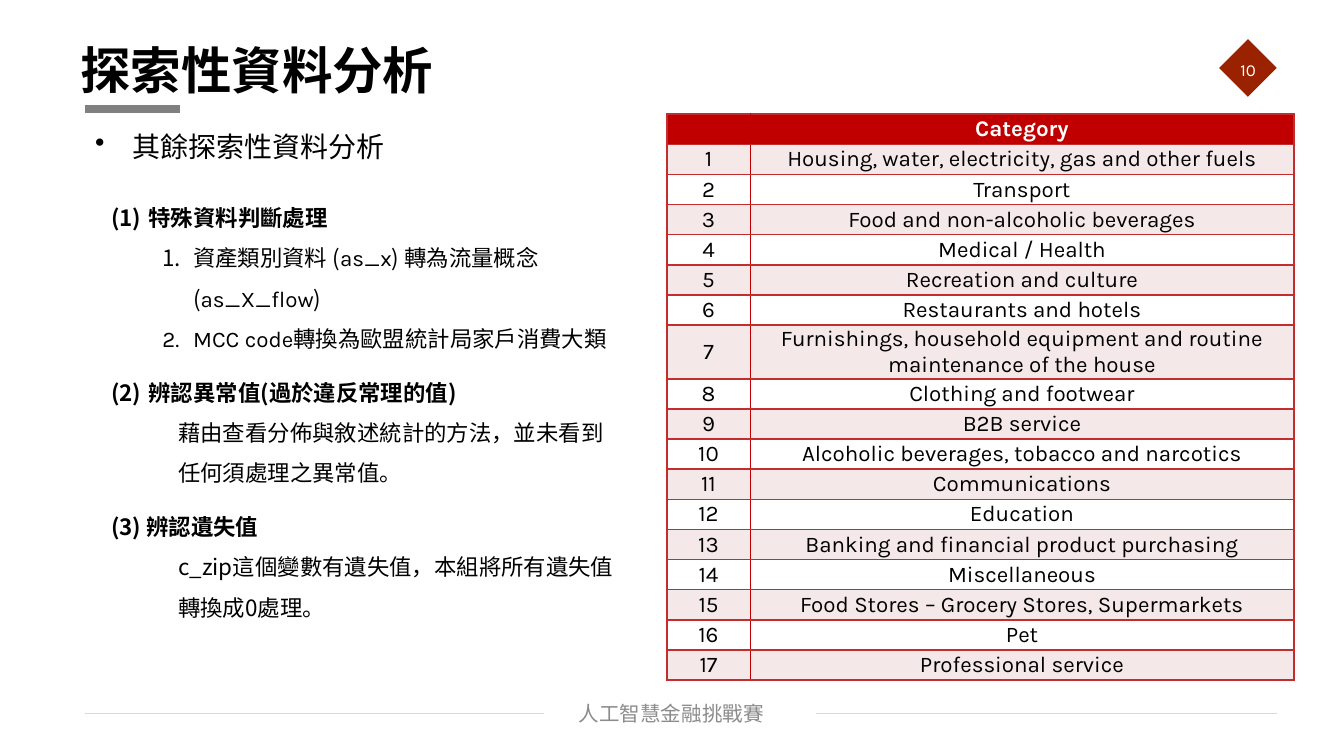
from dataclasses import dataclass
from typing import Optional

from lxml import etree
from pptx import Presentation
from pptx.dml.color import RGBColor
from pptx.enum.shapes import MSO_CONNECTOR, MSO_SHAPE
from pptx.enum.text import MSO_ANCHOR, MSO_AUTO_SIZE, PP_ALIGN
from pptx.oxml.ns import qn
from pptx.util import Cm, Pt

LEFT, CENTER = PP_ALIGN.LEFT, PP_ALIGN.CENTER
TOP, MIDDLE = MSO_ANCHOR.TOP, MSO_ANCHOR.MIDDLE
FIXED, GROW = MSO_AUTO_SIZE.NONE, MSO_AUTO_SIZE.SHAPE_TO_FIT_TEXT
STRAIGHT, DIAMOND = MSO_CONNECTOR.STRAIGHT, MSO_SHAPE.DIAMOND


@dataclass(frozen=True)
class Theme:
    latin: str = "Karla"
    chinese: str = "Noto Sans CJK SC"
    black: str = "000000"
    white: str = "FFFFFF"
    bar: str = "808080"
    badge: str = "9B2201"
    rule: str = "D9D9D9"
    footer: str = "8C8C8C"
    header: str = "C00000"
    border: str = "C32D2E"
    band: str = "F5E8E8"
    title_size: float = 27
    topic_size: float = 15
    body_size: float = 12
    footer_size: float = 11
    number_size: float = 9


THEME = Theme()


@dataclass(frozen=True)
class Area:
    left: float
    top: float
    width: float
    height: float


@dataclass(frozen=True)
class Para:
    spans: tuple[str, ...]
    size: float = THEME.body_size
    font: str = THEME.chinese
    color: str = THEME.black
    bold: bool = False
    align: PP_ALIGN = LEFT
    spacing: float = 1
    level: int = 0
    margin: float = 0
    hanging: float = 0
    bullet: str = ""
    numbering: str = ""
    latin_spans: tuple[int, ...] = ()


@dataclass(frozen=True)
class Rule:
    start: float
    end: float
    y: float
    color: str
    width: float


def heading(text: str) -> Para:
    return Para((text,), bold=True, spacing=2, margin=0.71, hanging=0.71,
                numbering="arabicParenBoth")


def step(*spans: str, latin_spans: tuple[int, ...]) -> Para:
    return Para(spans, spacing=1.5, level=1, margin=1.55, hanging=0.58,
                numbering="arabicPeriod", latin_spans=latin_spans)


def detail(text: str) -> Para:
    return Para((text,), spacing=1.5, margin=1.27)


RULES = (
    Rule(1.6, 3.4, 2.06, THEME.bar, 4.5),
    Rule(1.6, 10.29, 13.49, THEME.rule, 0.75),
    Rule(15.42, 24.13, 13.49, THEME.rule, 0.75),
)
TOPIC = Para(("其餘探索性資料分析",), THEME.topic_size, margin=0.71, hanging=0.71, bullet="•")
FINDINGS = (
    heading("特殊資料判斷處理"),
    step("資產類別資料 (", "as_x", ") 轉為流量概念 (", "as_X_flow", ")", latin_spans=(1, 3)),
    step("MCC code", "轉換為歐盟統計局家戶消費大類", latin_spans=(0,)),
    heading("辨認異常值(過於違反常理的值)"),
    detail("藉由查看分佈與敘述統計的方法，並未看到任何須處理之異常值。"),
    Para(("(3) 辨認遺失值",), bold=True, spacing=2),
    detail("c_zip這個變數有遺失值，本組將所有遺失值轉換成0處理。"),
)
CATEGORIES = (
    "Housing, water, electricity, gas and other fuels",
    "Transport",
    "Food and non-alcoholic beverages",
    "Medical / Health",
    "Recreation and culture",
    "Restaurants and hotels",
    "Furnishings, household equipment and routine maintenance of the house",
    "Clothing and footwear",
    "B2B service",
    "Alcoholic beverages, tobacco and narcotics",
    "Communications",
    "Education",
    "Banking and financial product purchasing",
    "Miscellaneous",
    "Food Stores – Grocery Stores, Supermarkets",
    "Pet",
    "Professional service",
)
COLUMN_WIDTHS = (1.58, 10.27)
ROW_HEIGHT, TALL_ROW_HEIGHT, TALL_ROW = 0.57, 1.02, 7


def write_paragraph(paragraph, para: Para) -> None:
    properties = paragraph._p.get_or_add_pPr()
    properties.set("marL", str(Cm(para.margin)))
    properties.set("indent", str(-Cm(para.hanging)))
    if para.bullet:
        etree.SubElement(properties, qn("a:buChar"), char=para.bullet)
    elif para.numbering:
        etree.SubElement(properties, qn("a:buAutoNum"), type=para.numbering)
    paragraph.level = para.level
    paragraph.alignment = para.align
    paragraph.line_spacing = para.spacing
    font = paragraph.font
    font.name, font.size, font.bold = para.font, Pt(para.size), para.bold
    font.color.rgb = RGBColor.from_string(para.color)
    etree.SubElement(properties.find(qn("a:defRPr")), qn("a:ea"), typeface=para.font)
    for index, text in enumerate(para.spans):
        span = paragraph.add_run()
        span.text = text
        if index in para.latin_spans:
            span.font.name = THEME.latin
    if not para.spans:
        etree.SubElement(paragraph._p, qn("a:endParaRPr"), sz=str(int(para.size * 100)))


def fill_box(box, area: Area, paras: tuple[Para, ...], inset: tuple[float, float] = (0.2, 0.1),
             anchor: MSO_ANCHOR = TOP, sizing: MSO_AUTO_SIZE = GROW, wrap: bool = True) -> None:
    box.left, box.top = Cm(area.left), Cm(area.top)
    box.width, box.height = Cm(area.width), Cm(area.height)
    frame = box.text_frame
    frame.word_wrap, frame.auto_size, frame.vertical_anchor = wrap, sizing, anchor
    frame.margin_left = frame.margin_right = Cm(inset[0])
    frame.margin_top = frame.margin_bottom = Cm(inset[1])
    for index, para in enumerate(paras):
        write_paragraph(frame.add_paragraph() if index else frame.paragraphs[0], para)


def add_text(slide, area: Area, *paras: Para, **options) -> None:
    fill_box(slide.shapes.add_textbox(0, 0, 0, 0), area, paras, **options)


def add_rule(slide, rule: Rule) -> None:
    line = slide.shapes.add_connector(STRAIGHT, Cm(rule.start), Cm(rule.y), Cm(rule.end), Cm(rule.y))
    line.line.color.rgb = RGBColor.from_string(rule.color)
    line.line.width = Pt(rule.width)
    etree.SubElement(line._element.spPr, qn("a:effectLst"))


def add_badge(slide, area: Area) -> None:
    badge = slide.shapes.add_shape(DIAMOND, Cm(area.left), Cm(area.top), Cm(area.width), Cm(area.height))
    badge.shadow.inherit = False
    badge.fill.solid()
    badge.fill.fore_color.rgb = RGBColor.from_string(THEME.badge)
    badge.line.fill.background()


def format_cell(cell, para: Para, fill: str, borders: dict[str, str]) -> None:
    cell.vertical_anchor = MIDDLE
    cell.margin_left = cell.margin_right = Cm(0.03)
    cell.margin_top = cell.margin_bottom = 0
    write_paragraph(cell.text_frame.paragraphs[0], para)
    properties = cell._tc.get_or_add_tcPr()
    for side, color in borders.items():
        line = etree.SubElement(properties, qn(f"a:ln{side}"), w=str(Pt(1)))
        paint = etree.SubElement(line, qn("a:solidFill"))
        etree.SubElement(paint, qn("a:srgbClr"), val=color)
    cell.fill.solid()
    cell.fill.fore_color.rgb = RGBColor.from_string(fill)


def add_category_table(slide, left: float, top: float) -> None:
    rows: list[tuple[Optional[str], str]] = [(None, "Category")]
    rows += [(str(number), name) for number, name in enumerate(CATEGORIES, 1)]
    heights = [TALL_ROW_HEIGHT if row == TALL_ROW else ROW_HEIGHT for row in range(len(rows))]
    table = slide.shapes.add_table(len(rows), len(COLUMN_WIDTHS), Cm(left), Cm(top),
                                   Cm(sum(COLUMN_WIDTHS)), Cm(sum(heights))).table
    table.first_row = table.horz_banding = False
    for column, width in zip(table.columns, COLUMN_WIDTHS):
        column.width = Cm(width)
    for row, (texts, height) in enumerate(zip(rows, heights)):
        table.rows[row].height = Cm(height)
        is_header = row == 0
        fill = THEME.header if is_header else THEME.band if row % 2 else THEME.white
        for column, text in enumerate(texts):
            para = Para((text,) if text else (), font=THEME.latin, bold=is_header, align=CENTER,
                        color=THEME.white if is_header else THEME.black)
            borders = dict.fromkeys("LRTB", THEME.border)
            borders["L" if column else "R"] = THEME.header
            format_cell(table.cell(row, column), para, fill, borders)


def main() -> None:
    deck = Presentation()
    deck.slide_width, deck.slide_height = Cm(25.4), Cm(14.29)
    slide = deck.slides.add_slide(deck.slide_layouts[5])
    for rule in RULES:
        add_rule(slide, rule)
    add_badge(slide, Area(23.04, 0.74, 1.09, 1.09))
    title = Para(("探索性資料分析",), THEME.title_size, bold=True)
    fill_box(slide.shapes.title, Area(1.27, 0.58, 22.86, 1.47), (title,),
             inset=(0.25, 0.13), anchor=MIDDLE, sizing=FIXED)
    add_text(slide, Area(1.6, 2.34, 10.95, 0.84), TOPIC)
    footer = Para(("人工智慧金融挑戰賽",), THEME.footer_size, color=THEME.footer, align=CENTER)
    add_text(slide, Area(7.37, 13.11, 10.64, 0.76), footer,
             inset=(0.25, 0.13), anchor=MIDDLE, sizing=FIXED)
    add_category_table(slide, 12.6, 2.16)
    add_text(slide, Area(1.9, 3.25, 9.91, 8.66), *FINDINGS)
    number = Para(("10",), THEME.number_size, THEME.latin, THEME.white, align=CENTER)
    add_text(slide, Area(23.22, 1.02, 0.74, 0.58), number, wrap=False)
    deck.save("out.pptx")


if __name__ == "__main__":
    main()
